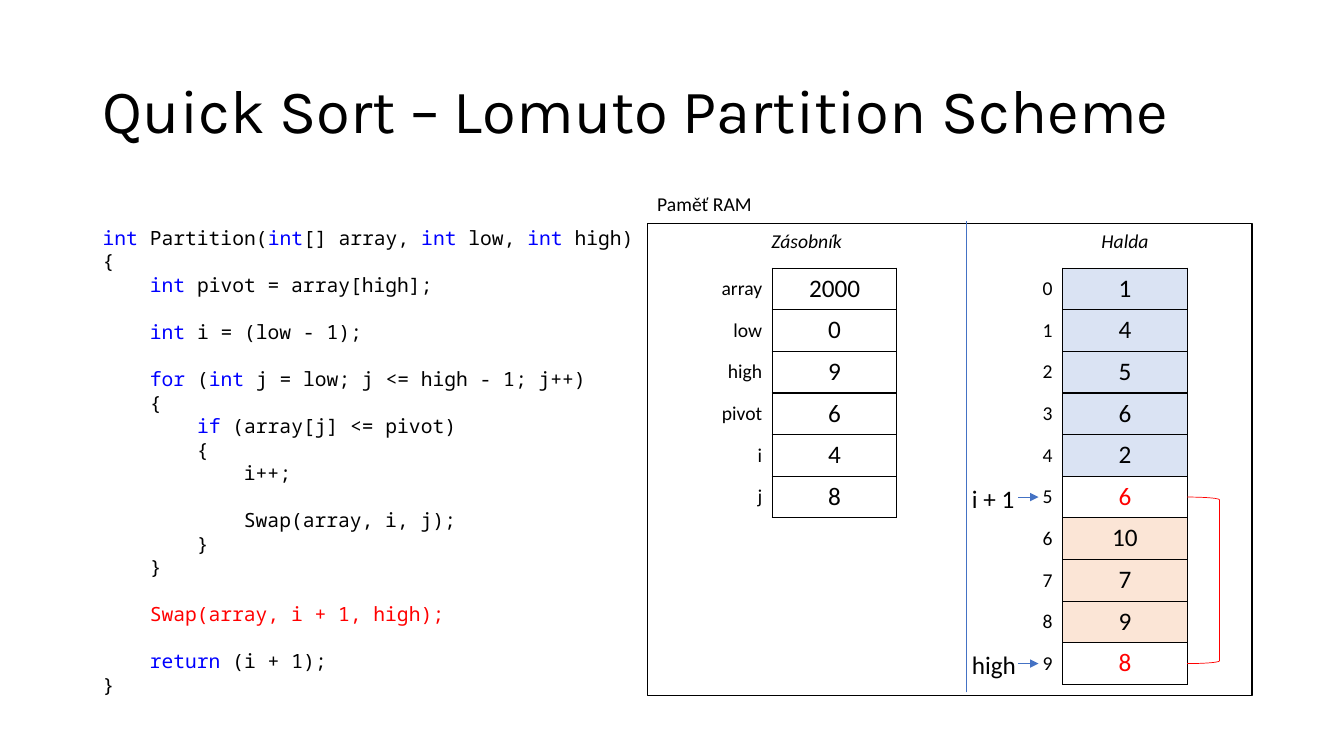
import itertools

import lxml.etree
import pptx
import pptx.dml.color
import pptx.enum.shapes
import pptx.enum.text
import pptx.oxml
import pptx.oxml.ns
import pptx.util

TITLE = "Quick Sort – Lomuto Partition Scheme"
CODE = """int Partition(int[] array, int low, int high)
{
    int pivot = array[high];

    int i = (low - 1);

    for (int j = low; j <= high - 1; j++)
    {
        if (array[j] <= pivot)
        {
            i++;

            Swap(array, i, j);
        }
    }

    Swap(array, i + 1, high);

    return (i + 1);
}"""
KEYWORDS = {"int", "for", "if", "return"}
ACTIVE_CALL = "Swap(array, i + 1, high);"
STACK = [("array", 2000), ("low", 0), ("high", 9), ("pivot", 6), ("i", 4), ("j", 8)]
HEAP = [1, 4, 5, 6, 2, 6, 10, 7, 9, 8]
POINTERS = {"i + 1": 5, "high": 9}
BLACK, WHITE, RED, BLUE = "000000", "FFFFFF", "FF0000", "4472C4"
KEYWORD, SMALLER, LARGER = "0000FF", "DAE3F3", "FBE5D6"
BODY, MONO, HEADING = "Calibri", "Noto Sans Mono", "Karla"

LEFT, RAM_LEFT, RAM_TOP, RAM_W, RAM_H = 0.92, 6.42, 2.22, 6, 4.68
DIVIDER = 9.58
TABLE_TOP, ROW_H, VALUE_W = 2.66, 0.413, 1.235
STACK_LEFT, STACK_LABEL_W = 6.67, 0.99
HEAP_LEFT, HEAP_LABEL_W = 10.22, 0.32
HEAP_VALUES = HEAP_LEFT + HEAP_LABEL_W
CODE_PITCH = 16.8

Inches, Pt = pptx.util.Inches, pptx.util.Pt
ALIGN, ANCHOR = pptx.enum.text.PP_ALIGN, pptx.enum.text.MSO_ANCHOR
SHAPE = pptx.enum.shapes.MSO_SHAPE


def rgb(color):
    return pptx.dml.color.RGBColor.from_string(color)


def style(run, size, color=BLACK, font=BODY, italic=False):
    run.font.size, run.font.name, run.font.italic = Pt(size), font, italic
    run.font.color.rgb = rgb(color)


def add_text(s, box, text, size, align=ALIGN.LEFT, wrap=True, **look):
    tf = s.shapes.add_textbox(*map(Inches, box)).text_frame
    tf.word_wrap = wrap
    tf.text = text
    p = tf.paragraphs[0]
    p.alignment = align
    style(p.runs[0], size, **look)
    return tf


def add_shape(s, kind, box, line, width):
    sp = s.shapes.add_shape(kind, *map(Inches, box))
    sp.shadow.inherit = False
    sp.line.color.rgb, sp.line.width = rgb(line), Pt(width)
    return sp


def add_line(s, x1, y1, x2, y2, arrow=False):
    line = s.shapes.add_connector(pptx.enum.shapes.MSO_CONNECTOR.STRAIGHT,
                                  *map(Inches, (x1, y1, x2, y2)))
    line.line.color.rgb, line.line.width = rgb(BLUE), Pt(0.5)
    if arrow:
        lxml.etree.SubElement(line.line._get_or_add_ln(),
                              pptx.oxml.ns.qn("a:tailEnd"), type="triangle")
    lxml.etree.SubElement(line._element.spPr, pptx.oxml.ns.qn("a:effectLst"))


def set_borders(cell, black_sides):
    tcPr = cell._tc.get_or_add_tcPr()
    for i, side in enumerate("LRTB"):
        fill = (f'<a:solidFill><a:srgbClr val="{BLACK}"/></a:solidFill>'
                if side in black_sides else "<a:noFill/>")
        tcPr.insert(i, pptx.oxml.parse_xml(
            f'<a:ln{side} {pptx.oxml.ns.nsdecls("a")} w="12700">{fill}</a:ln{side}>'))


def set_cell(cell, text, size, align, fill, borders, color=BLACK):
    cell.text = str(text)
    p = cell.text_frame.paragraphs[0]
    p.alignment = align
    style(p.runs[0], size, color)
    if fill:
        cell.fill.solid()
        cell.fill.fore_color.rgb = rgb(fill)
    else:
        cell.fill.background()
    set_borders(cell, borders)


def add_memory(s, left, label_w, rows):
    table = s.shapes.add_table(len(rows), 2, *map(Inches, (
        left, TABLE_TOP, label_w + VALUE_W, ROW_H * len(rows)))).table
    table.first_row = table.horz_banding = False
    for column, width in zip(table.columns, (label_w, VALUE_W)):
        column.width = Inches(width)
    for i, (label, value, fill, color) in enumerate(rows):
        table.rows[i].height = Inches(ROW_H)
        set_cell(table.cell(i, 0), label, 14, ALIGN.RIGHT, None, "R")
        table.cell(i, 0).vertical_anchor = ANCHOR.MIDDLE
        set_cell(table.cell(i, 1), value, 18, ALIGN.CENTER, fill, "LRTB", color)


def add_code(s):
    tf = s.shapes.add_textbox(*map(Inches, (LEFT, 2.19, 5.49, 4.81))).text_frame
    tf.word_wrap = True
    p, gap = tf.paragraphs[0], 0
    for i, line in enumerate(CODE.split("\n")):
        if not line:
            gap = CODE_PITCH
            continue
        if i:
            p = tf.add_paragraph()
            p.space_before = Pt(gap)
        p.line_spacing, gap = Pt(CODE_PITCH), 0
        plain = RED if line.strip() == ACTIVE_CALL else BLACK
        words = ("".join(g) for _, g in itertools.groupby(line, str.isalpha))
        for color, group in itertools.groupby(
                words, lambda word: KEYWORD if word in KEYWORDS else plain):
            r = p.add_run()
            r.text = "".join(group)
            style(r, 14, color, MONO)


def row_middle(row):
    return TABLE_TOP + ROW_H * (row + 0.5)


def heap_row(i, value):
    first, last = POINTERS.values()
    if i in (first, last):
        return i, value, None, RED
    return i, value, SMALLER if i < first else LARGER, BLACK


def main():
    prs = pptx.Presentation()
    prs.slide_width, prs.slide_height = Inches(13.33), Inches(7.5)
    s = prs.slides.add_slide(prs.slide_layouts[6])

    tf = add_text(s, (LEFT, 0.4, 11.5, 1.45), TITLE, 44, font=HEADING)
    tf.vertical_anchor = ANCHOR.MIDDLE
    tf.paragraphs[0].line_spacing = 0.9

    ram = add_shape(s, SHAPE.RECTANGLE, (RAM_LEFT, RAM_TOP, RAM_W, RAM_H), BLACK, 1)
    ram.fill.solid()
    ram.fill.fore_color.rgb = rgb(WHITE)
    add_text(s, (RAM_LEFT, 1.85, RAM_W, 0.34), "Paměť RAM", 14)
    add_line(s, DIVIDER, 6.87, DIVIDER, 2.19)
    for text, left, width in (("Zásobník", RAM_LEFT, DIVIDER - RAM_LEFT),
                              ("Halda", HEAP_VALUES, VALUE_W)):
        add_text(s, (left, RAM_TOP, width, 0.34), text, 14, ALIGN.CENTER, italic=True)

    add_code(s)
    add_memory(s, HEAP_LEFT, HEAP_LABEL_W, [heap_row(i, v) for i, v in enumerate(HEAP)])
    add_memory(s, STACK_LEFT, STACK_LABEL_W, [(n, v, None, BLACK) for n, v in STACK])

    for name, row in POINTERS.items():
        y = row_middle(row)
        add_line(s, 10.1, y, 10.3, y, arrow=True)
        add_text(s, (9.54, y - 0.19, 0.75, 0.4), name, 18, wrap=False)

    top, bottom = map(row_middle, POINTERS.values())
    swap = add_shape(s, SHAPE.RIGHT_BRACKET,
                     (HEAP_VALUES + VALUE_W, top, 0.32, bottom - top), RED, 0.5)
    swap.fill.background()
    prs.save("out.pptx")


if __name__ == "__main__":
    main()
